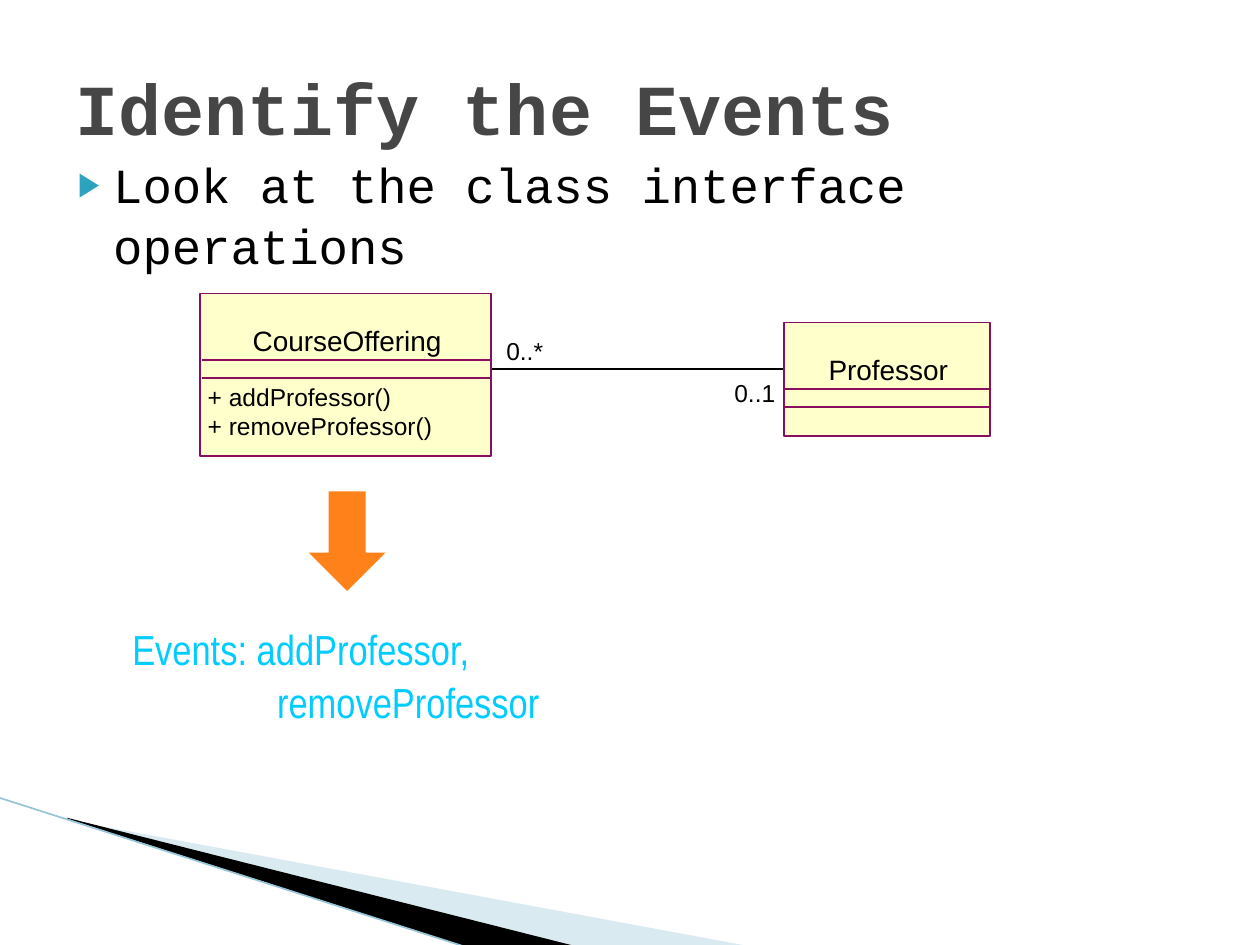
import pptx
import pptx.util
import pptx.dml.color
import pptx.enum.shapes
import pptx.enum.text
import pptx.oxml
import pptx.oxml.ns
import lxml.etree

RGBColor = pptx.dml.color.RGBColor
BLACK = RGBColor(0x00, 0x00, 0x00)
TITLE_GREY = RGBColor(0x46, 0x46, 0x46)
CLASS_FILL = RGBColor(0xFF, 0xFF, 0xCC)
CLASS_LINE = RGBColor(0x8A, 0x0E, 0x5E)
ORANGE = RGBColor(0xFF, 0x81, 0x19)
EVENT_BLUE = RGBColor(0x00, 0xCC, 0xFF)
BULLET_TEAL = RGBColor(0x2D, 0xA2, 0xBF)
WEDGE_BLUE = RGBColor(0xA0, 0xCB, 0xDC)
EDGE_BLUE = RGBColor(0x97, 0xC5, 0xD8)

COLUMNS, ROWS = 100, 75
LEFT = pptx.enum.text.PP_ALIGN.LEFT
CENTER = pptx.enum.text.PP_ALIGN.CENTER


def add_xml(parent, tag, **attributes):
    element = lxml.etree.SubElement(parent, pptx.oxml.ns.qn(tag))
    for name, value in attributes.items():
        element.set(name, str(value))
    return element


class ClassDiagramSlide:
    """Slide style; all places are given in columns and rows."""

    def __init__(self, presentation):
        self.cell = presentation.slide_width / COLUMNS
        self.slide = presentation.slides.add_slide(presentation.slide_layouts[5])
        self.shapes = self.slide.shapes

    def grid(self, *lengths):
        return [pptx.util.Emu(round(length * self.cell)) for length in lengths]

    def run(self, paragraph, text, size, font="Arial", color=BLACK, bold=False):
        run = paragraph.add_run()
        run.text = text
        run.font.size = pptx.util.Pt(size)
        run.font.name = font
        run.font.color.rgb = color
        run.font.bold = bold

    def title(self, text, *box):
        shape = self.shapes.title
        shape.left, shape.top, shape.width, shape.height = self.grid(*box)
        shape.text_frame.vertical_anchor = pptx.enum.text.MSO_ANCHOR.MIDDLE
        paragraph = shape.text_frame.paragraphs[0]
        paragraph.alignment = LEFT
        self.run(paragraph, text, 41, "Courier New", TITLE_GREY, True)

    def text_box(self, *box, align=LEFT, wrap=True):
        """Add an empty text box and return its first paragraph."""
        frame = self.shapes.add_textbox(*self.grid(*box)).text_frame
        frame.word_wrap = wrap
        paragraph = frame.paragraphs[0]
        paragraph.alignment = align
        return paragraph

    def label(self, text, *box, size=14, align=LEFT, wrap=True):
        self.run(self.text_box(*box, align=align, wrap=wrap), text, size)

    def bullet(self, text, *box):
        paragraph = self.text_box(*box)
        paragraph.space_before = pptx.util.Pt(4)
        paragraph.line_spacing = 1.05
        indent, hanging = self.grid(4, -2.8)
        properties = paragraph._p.get_or_add_pPr()
        properties.set("marL", str(indent))
        properties.set("indent", str(hanging))
        color = add_xml(properties, "a:buClr")
        add_xml(color, "a:srgbClr", val=BULLET_TEAL)
        add_xml(properties, "a:buSzPct", val=68000)
        add_xml(properties, "a:buFont", typeface="Arial")
        add_xml(properties, "a:buChar", char="▶")
        self.run(paragraph, text, 28, "Courier New")

    def events(self, first, second, *box):
        """Two lines, the second one set in by a tab stop."""
        paragraph = self.text_box(*box)
        frame = self.shapes[-1].text_frame
        frame.margin_left, frame.margin_top = self.grid(1.2, 0.6)
        paragraph.line_spacing = 1.05
        tabs = add_xml(paragraph._p.get_or_add_pPr(), "a:tabLst")
        add_xml(tabs, "a:tab", pos=self.grid(11.5)[0], algn="l")
        self.run(paragraph, first, 24, "Arial Narrow", EVENT_BLUE)
        paragraph.add_line_break()
        self.run(paragraph, "\t" + second, 24, "Arial Narrow", EVENT_BLUE)

    def line(self, *ends, color=BLACK, width=1):
        connector = self.shapes.add_connector(
            pptx.enum.shapes.MSO_CONNECTOR.STRAIGHT, *self.grid(*ends))
        connector.line.color.rgb = color
        connector.line.width = pptx.util.Pt(width)
        add_xml(connector._element.spPr, "a:effectLst")

    def paint(self, shape, fill, line=None):
        shape.shadow.inherit = False
        shape.fill.solid()
        shape.fill.fore_color.rgb = fill
        if line is None:
            shape.line.fill.background()
        else:
            shape.line.color.rgb = line
            shape.line.width = pptx.util.Pt(1)

    def preset(self, kind, *box, fill, line=None):
        shape = self.shapes.add_shape(kind, *self.grid(*box))
        self.paint(shape, fill, line)
        return shape

    def wedge(self, points, fill, opacity=100):
        start, *rest = [self.grid(*point) for point in points]
        builder = self.shapes.build_freeform(*start)
        builder.add_line_segments(rest, close=True)
        shape = builder.convert_to_shape()
        self.paint(shape, fill)
        if opacity < 100:
            color = shape.fill._xPr.find(".//" + pptx.oxml.ns.qn("a:srgbClr"))
            add_xml(color, "a:alpha", val=opacity * 1000)

    def class_box(self, name, left, top, width, height):
        """UML class: a name above two dividing lines."""
        self.preset(pptx.enum.shapes.MSO_SHAPE.RECTANGLE,
                    left, top, width, height, fill=CLASS_FILL, line=CLASS_LINE)
        for offset in (5.3, 6.7):
            self.line(left + 0.1, top + offset, left + width, top + offset,
                      color=CLASS_LINE)
        self.label(name, left + 0.1, top + 1.9, width, 3.7, size=16, align=CENTER)


def main():
    presentation = pptx.Presentation()
    presentation.slide_width = pptx.util.Inches(10)
    presentation.slide_height = pptx.util.Inches(7.5)
    page = ClassDiagramSlide(presentation)

    # Corner decoration
    page.wedge([(5.5, 65.1), (59.5, 75.1), (45.6, 75.1), (5.5, 65)], WEDGE_BLUE, 40)
    page.wedge([(5.3, 64.9), (45.7, 75.1), (37.2, 75.2), (5.4, 65)], BLACK)
    page.line(-0.1, 63.3, 37.1, 75.2, color=EDGE_BLUE, width=0.95)

    # Heading and bullet
    page.bullet("Look at the class interface operations", 4, 11.5, 92.8, 55.2)
    page.title("Identify the Events", 5, 2.2, 90, 12.5)

    # Events found
    page.events("Events: addProfessor,", "removeProfessor", 9.3, 48.7, 40.7, 9.2)
    arrow = page.preset(pptx.enum.shapes.MSO_SHAPE.DOWN_ARROW,
                        24.5, 39, 6.1, 7.9, fill=ORANGE)
    arrow.adjustments[0] = 0.48
    arrow.adjustments[1] = 0.5

    # Classes and their association
    page.line(38.6, 29.3, 62.5, 29.3)
    page.class_box("CourseOffering", 15.9, 23.3, 23.1, 12.9)
    page.class_box("Professor", 62.2, 25.6, 16.4, 9)
    for row, operation in enumerate(("addProfessor()", "removeProfessor()")):
        page.label("+ " + operation, 15.5, 29.8 + 2.3 * row, 22.1, 3.4)
    page.label("0..*", 39.2, 26.2, 5, 3.4, wrap=False)
    page.label("0..1", 57.3, 29.5, 5.3, 3.4, wrap=False)

    presentation.save("out.pptx")


if __name__ == "__main__":
    main()
